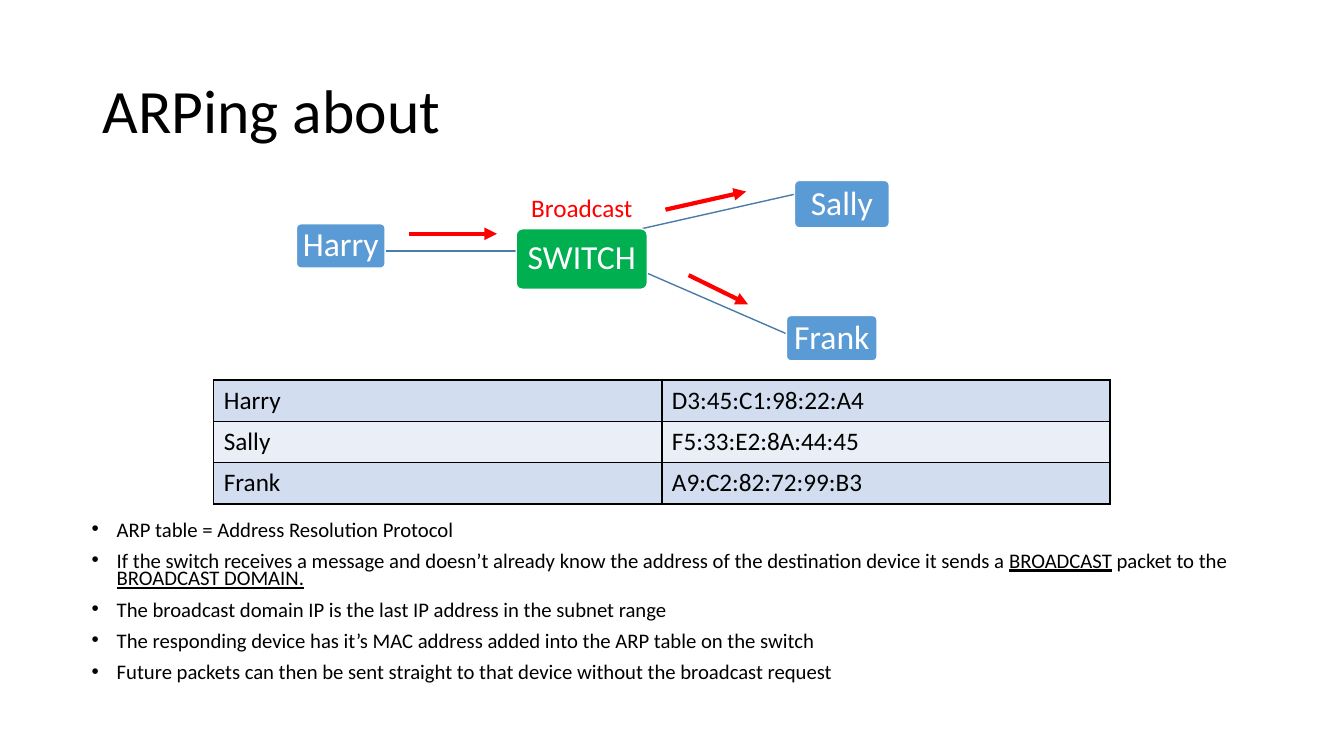
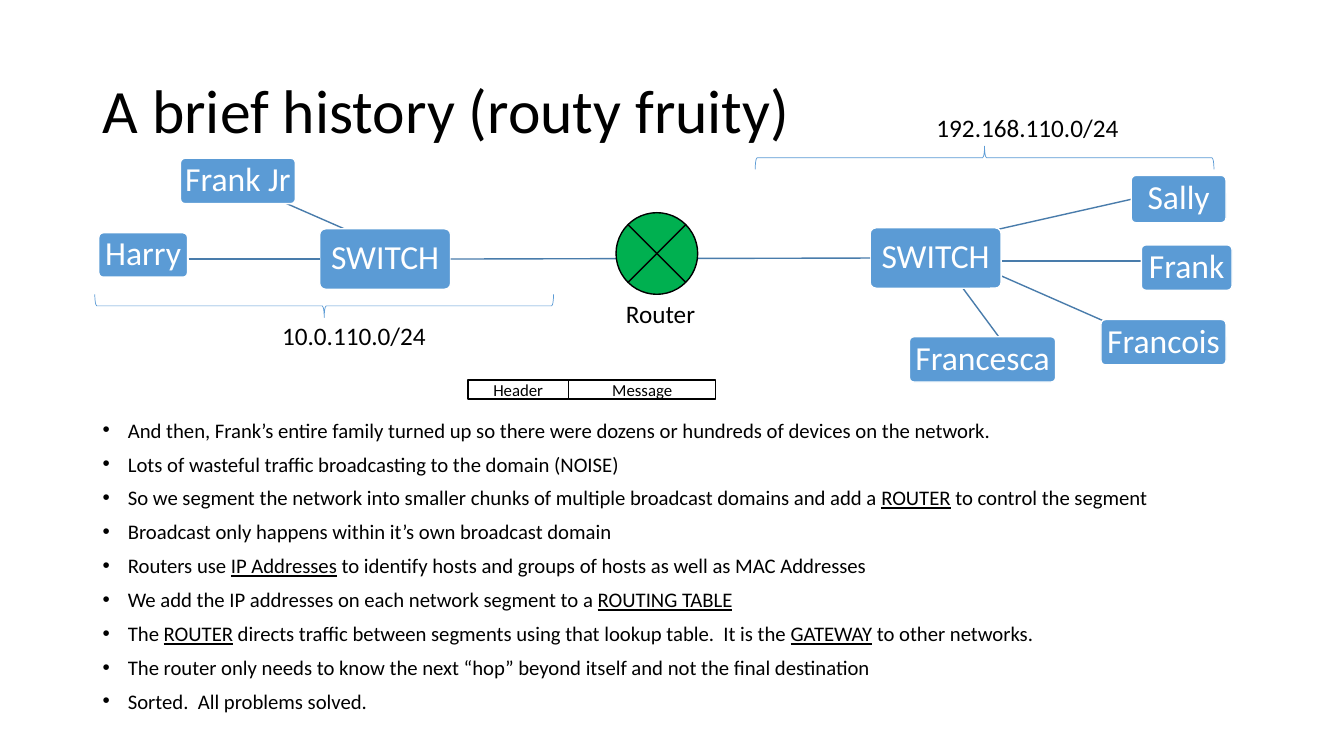
from lxml import etree
from pptx import Presentation
from pptx import util as u
from pptx.dml import color
from pptx.enum import shapes, text
from pptx.oxml import ns

Inches, Pt = u.Inches, u.Pt
SHAPE = shapes.MSO_SHAPE
FONT = "Calibri"
BLACK, WHITE, RED, GREEN = "000000", "FFFFFF", "FF0000", "00B050"
NODE, LINK = "5B9BD5", "497CAB"
BANDS = ("D2DEEF", "EAEFF7")


def rgb(value):
    return color.RGBColor.from_string(value)


def add_xml(parent, tag, **attrs):
    el = etree.SubElement(parent, ns.qn(tag))
    for name, value in attrs.items():
        el.set(name, str(value))
    return el


def style_run(r, size, fill):
    r.font.name, r.font.size = FONT, Pt(size)
    r.font.color.rgb = rgb(fill)


def write(tf, content, size, fill, align=None, spacing=None):
    tf.text = content
    p = tf.paragraphs[0]
    p.alignment, p.line_spacing = align, spacing
    style_run(p.runs[0], size, fill)


# Text
def text_box(s, box, wrap=True):
    tf = s.shapes.add_textbox(*map(Inches, box)).text_frame
    tf.word_wrap = wrap
    return tf


def title(s, content):
    tf = text_box(s, (0.92, 0.4, 11.5, 1.45))
    tf.vertical_anchor = text.MSO_ANCHOR.MIDDLE
    write(tf, content, 44, BLACK, spacing=0.9)


def label(s, content, box, fill=BLACK):
    write(text_box(s, box, wrap=False), content, 18, fill)


def bullets(s, box, spacing, items):
    """Underscores in an item enclose its underlined words."""
    tf = text_box(s, box)
    for i, item in enumerate(items):
        p = tf.add_paragraph() if i else tf.paragraphs[0]
        pPr = p._p.get_or_add_pPr()
        pPr.set("marL", str(Inches(0.25)))
        pPr.set("indent", str(-Inches(0.25)))
        add_xml(pPr, "a:buFont", typeface="Arial")
        add_xml(pPr, "a:buChar", char="•")
        p.line_spacing = spacing
        if i:
            p.space_before = Pt(10)
        for j, part in enumerate(item.split("_")):
            if part:
                r = p.add_run()
                r.text = part
                style_run(r, 14.8, BLACK)
                r.font.underline = True if j % 2 else None


# Diagram parts
def shape(s, kind, box, fill, line, width=1):
    sp = s.shapes.add_shape(kind, *map(Inches, box))
    sp.shadow.inherit = False
    if fill:
        sp.fill.solid()
        sp.fill.fore_color.rgb = rgb(fill)
    else:
        sp.fill.background()
    sp.line.color.rgb, sp.line.width = rgb(line), Pt(width)
    return sp


def boxed_text(sp, content, size, fill, inset, spacing=None):
    tf = sp.text_frame
    tf.margin_left = tf.margin_right = Inches(inset)
    tf.margin_top = tf.margin_bottom = Inches(inset)
    tf.vertical_anchor = text.MSO_ANCHOR.MIDDLE
    tf.word_wrap = False
    write(tf, content, size, fill, text.PP_ALIGN.CENTER, spacing)


def node(s, name, box, fill=NODE):
    sp = shape(s, SHAPE.ROUNDED_RECTANGLE, box, fill, WHITE)
    sp.adjustments[0] = 0.1
    boxed_text(sp, name, 24, WHITE, 0.03, 0.9)
    return sp


def connector(s, x1, y1, x2, y2, line=LINK, width=1):
    c = s.shapes.add_connector(shapes.MSO_CONNECTOR.STRAIGHT,
                               *map(Inches, (x1, y1, x2, y2)))
    c.line.color.rgb, c.line.width = rgb(line), Pt(width)
    add_xml(c._element.spPr, "a:effectLst")
    return c


def arrow(s, *points):
    c = connector(s, *points, line=RED, width=3)
    add_xml(c.line._get_or_add_ln(), "a:tailEnd", type="triangle")


def brace(s, box, rotation):
    sp = shape(s, SHAPE.RIGHT_BRACE, box, None, NODE, 0.5)
    sp.rotation = rotation


def packet_field(s, name, left, width):
    sp = shape(s, SHAPE.RECTANGLE, (left, 3.77, width, 0.19), WHITE, BLACK)
    boxed_text(sp, name, 12, BLACK, 0)


# Table
def border(cell):
    tcPr = cell._tc.get_or_add_tcPr()
    for i, side in enumerate(("a:lnL", "a:lnR", "a:lnT", "a:lnB")):
        ln = etree.Element(ns.qn(side), w=str(Pt(1)))
        add_xml(add_xml(ln, "a:solidFill"), "a:srgbClr", val=BLACK)
        tcPr.insert(i, ln)


def address_table(s, rows):
    row_height = 0.41
    box = (2.12, 3.77, 8.89, row_height * len(rows))
    tbl = s.shapes.add_table(len(rows), 2, *map(Inches, box)).table
    tbl.first_row = tbl.horz_banding = False
    for i, row in enumerate(rows):
        for j, value in enumerate(row):
            cell = tbl.cell(i, j)
            cell.fill.solid()
            cell.fill.fore_color.rgb = rgb(BANDS[i % 2])
            border(cell)
            write(cell.text_frame, value, 18, BLACK)


# Slides
def arp_slide(s):
    for points in ((6.21, 2.62, 8.12, 3.45), (6.05, 2.34, 8.09, 1.88),
                   (3.75, 2.49, 5.98, 2.49)):
        connector(s, *points)
    title(s, "ARPing about")
    bullets(s, (0.81, 5.14, 11.5, 1.85), 0.7, [
        "ARP table = Address Resolution Protocol",
        "If the switch receives a message and doesn’t already know the address of the "
        "destination device it sends a _BROADCAST_ packet to the _BROADCAST DOMAIN._",
        "The broadcast domain IP is the last IP address in the subnet range",
        "The responding device has it’s MAC address added into the ARP table on the switch",
        "Future packets can then be sent straight to that device without the broadcast request",
    ])
    address_table(s, [("Harry", "D3:45:C1:98:22:A4"),
                      ("Sally", "F5:33:E2:8A:44:45"),
                      ("Frank", "A9:C2:82:72:99:B3")])
    node(s, "Harry", (2.94, 2.22, 0.88, 0.44))
    node(s, "Sally", (7.88, 1.79, 0.94, 0.47))
    node(s, "Frank", (7.8, 3.13, 0.9, 0.45))
    node(s, "SWITCH", (5.12, 2.27, 1.3, 0.6), GREEN)
    arrow(s, 4.06, 2.32, 4.93, 2.32)
    arrow(s, 6.6, 2.08, 7.4, 1.9)
    arrow(s, 6.83, 2.73, 7.42, 3.02)
    label(s, "Broadcast", (5.17, 1.86, 1.22, 0.4), RED)


def router_slide(s):
    for points in ((9.27, 2.48, 10.09, 3.59), (9.64, 2.59, 11.74, 2.59),
                   (2.18, 1.73, 4.1, 2.57), (9.55, 2.57, 11.46, 3.41),
                   (9.7, 2.32, 11.74, 1.86)):
        connector(s, *points)
    title(s, "A brief history (routy fruity)")
    bullets(s, (0.92, 4.14, 11.5, 3.09), 0.8, [
        "And then, Frank’s entire family turned up so there were dozens or hundreds of "
        "devices on the network.",
        "Lots of wasteful traffic broadcasting to the domain (NOISE)",
        "So we segment the network into smaller chunks of multiple broadcast domains "
        "and add a _ROUTER_ to control the segment",
        "Broadcast only happens within it’s own broadcast domain",
        "Routers use _IP Addresses_ to identify hosts and groups of hosts as well as "
        "MAC Addresses",
        "We add the IP addresses on each network segment to a _ROUTING TABLE_",
        "The _ROUTER_ directs traffic between segments using that lookup table.  "
        "It is the _GATEWAY_ to other networks.",
        "The router only needs to know the next “hop” beyond itself and not the final "
        "destination",
        "Sorted.  All problems solved.",
    ])

    # Left network
    node(s, "Harry", (0.98, 2.31, 0.88, 0.44))
    node(s, "Frank Jr", (1.79, 1.57, 1.14, 0.45))
    left_switch = node(s, "SWITCH", (3.17, 2.27, 1.3, 0.6))
    connector(s, 1.87, 2.57, 3.17, 2.57).end_connect(left_switch, 1)
    brace(s, (3.1, 0.76, 0.23, 4.55), 90)
    label(s, "10.0.110.0/24", (2.7, 3.13, 1.64, 0.4))

    # Right network
    node(s, "Sally", (11.22, 1.74, 0.94, 0.47))
    node(s, "Frank", (11.32, 2.43, 0.9, 0.45))
    node(s, "Francois", (10.92, 3.17, 1.24, 0.45))
    node(s, "Francesca", (9.02, 3.34, 1.45, 0.45))
    right_switch = node(s, "SWITCH", (8.63, 2.26, 1.3, 0.6))
    brace(s, (9.65, -0.71, 0.23, 4.55), 270)
    label(s, "192.168.110.0/24", (9.19, 1.07, 2.03, 0.4))

    # Router between the networks
    trunk = connector(s, 4.47, 2.57, 8.63, 2.56)
    trunk.begin_connect(left_switch, 3)
    trunk.end_connect(right_switch, 1)
    shape(s, SHAPE.FLOWCHART_SUMMING_JUNCTION, (6.11, 2.11, 0.81, 0.81), GREEN, BLACK)
    label(s, "Router", (6.11, 2.91, 0.9, 0.4))

    # Packet
    packet_field(s, "Header", 4.64, 1)
    packet_field(s, "Message", 5.64, 1.46)


def main():
    prs = Presentation()
    prs.slide_width, prs.slide_height = Inches(13.33), Inches(7.5)
    for build in (arp_slide, router_slide):
        build(prs.slides.add_slide(prs.slide_layouts[6]))
    prs.save("out.pptx")


if __name__ == "__main__":
    main()
